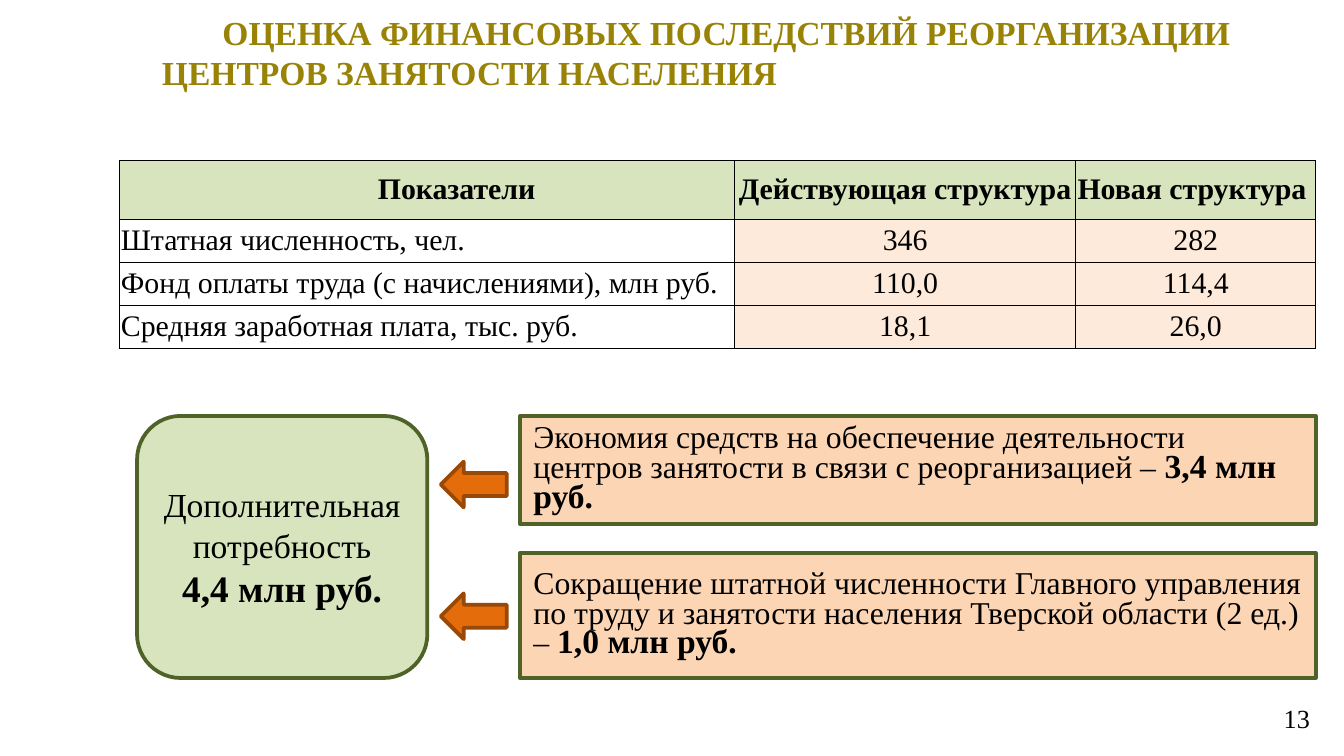
from dataclasses import dataclass

from lxml.etree import SubElement
from pptx import Presentation
from pptx.dml.color import RGBColor
from pptx.enum.shapes import MSO_SHAPE
from pptx.enum.text import MSO_ANCHOR, MSO_AUTO_SIZE, PP_ALIGN
from pptx.oxml.ns import qn
from pptx.util import Inches, Pt

COLORS = {
    "title": "998307", "text": "000000", "green": "D7E4BD",
    "green_line": "4F6228", "white": "FFFFFF", "cream": "FDEADA",
    "peach": "FCD5B5", "orange": "E46C0A", "orange_line": "984807",
}
WIDTH = Inches(10)
HEIGHT = WIDTH * 9 // 16
COLUMN, ROW = WIDTH / 100, HEIGHT / 56.25
FONT = "Times New Roman"
INDICATORS = [
    ("Показатели", "Действующая структура", "Новая структура "),
    ("Штатная численность, чел.", "346", "282"),
    ("Фонд оплаты труда (с начислениями), млн руб.", "110,0", "114,4"),
    ("Средняя заработная плата, тыс. руб.", "18,1", "26,0"),
]
SAVINGS = [
    (0, 8.05, 3.4, "Экономия средств на обеспечение деятельности центров занятости "
     "в связи с реорганизацией – ", "3,4 млн руб."),
    (10.2, 9.3, 13.2, "Сокращение штатной численности Главного управления по труду "
     "и занятости населения Тверской области (2 ед.) – ", "1,0 млн руб."),
]


@dataclass
class Box:
    column: float
    row: float
    columns: float
    rows: float

    def inner(self, column, row, columns, rows):
        return Box(self.column + column, self.row + row, columns, rows)

    def lengths(self):
        return (round(self.column * COLUMN), round(self.row * ROW),
                round(self.columns * COLUMN), round(self.rows * ROW))


def color(name):
    return RGBColor.from_string(COLORS[name])


def apply(target, values):
    for key, value in values.items():
        setattr(target, key, value)


def write(paragraph, text, size, bold=False, tint="text", **layout):
    run = paragraph.add_run()
    run.text = text
    apply(run.font, {"name": FONT, "size": Pt(size), "bold": bold})
    run.font.color.rgb = color(tint)
    apply(paragraph, layout)


def add_block(slide, preset, box, fill, line):
    block = slide.shapes.add_shape(preset, *box.lengths())
    block.shadow.inherit = False
    block.fill.solid()
    block.fill.fore_color.rgb = color(fill)
    block.line.color.rgb = color(line)
    block.line.width = Pt(2)
    apply(block.text_frame, {"word_wrap": True, "vertical_anchor": MSO_ANCHOR.MIDDLE})
    return block


def add_heading(slide, box):
    heading = slide.shapes.title
    apply(heading, dict(zip(("left", "top", "width", "height"), box.lengths())))
    apply(heading.text_frame, {
        "word_wrap": True, "auto_size": MSO_AUTO_SIZE.NONE,
        "vertical_anchor": MSO_ANCHOR.MIDDLE,
        "margin_top": 0, "margin_bottom": round(2.9 * ROW),
    })
    paragraph = heading.text_frame.paragraphs[0]
    paragraph._p.get_or_add_pPr().set("indent", str(round(4.5 * COLUMN)))
    write(paragraph, "ОЦЕНКА ФИНАНСОВЫХ ПОСЛЕДСТВИЙ РЕОРГАНИЗАЦИИ ЦЕНТРОВ ЗАНЯТОСТИ НАСЕЛЕНИЯ",
          18, True, "title", alignment=PP_ALIGN.LEFT)


def add_borders(cell):
    properties = cell._tc.get_or_add_tcPr()
    for side in ("a:lnL", "a:lnR", "a:lnT", "a:lnB"):
        border = SubElement(properties, qn(side), w=str(Pt(0.5)))
        fill = SubElement(border, qn("a:solidFill"))
        SubElement(fill, qn("a:srgbClr"), val=COLORS["text"])


def add_indicators(slide, box):
    table = slide.shapes.add_table(len(INDICATORS), 3, *box.lengths()).table
    for column, columns in zip(table.columns, (45.75, 25.4, 17.85)):
        column.width = round(columns * COLUMN)
    for row, rows in zip(table.rows, (4.4, 3.2, 3.2, 3.2)):
        row.height = round(rows * ROW)
    for r, values in enumerate(INDICATORS):
        for c, value in enumerate(values):
            cell = table.cell(r, c)
            add_borders(cell)
            cell.fill.solid()
            cell.fill.fore_color.rgb = color("green" if r == 0 else "cream" if c else "white")
            apply(cell, {
                "vertical_anchor": MSO_ANCHOR.MIDDLE, "margin_bottom": 0,
                "margin_left": Inches(0.01), "margin_right": Inches(0.01),
                "margin_top": Inches(0.01),
            })
            paragraph = cell.text_frame.paragraphs[0]
            if r == c == 0:
                paragraph._p.get_or_add_pPr().set("marL", str(round(4.4 * COLUMN)))
            write(paragraph, value, 16, r == 0, line_spacing=Pt(16),
                  alignment=PP_ALIGN.CENTER if r == 0 or c else PP_ALIGN.LEFT)


def add_need(slide, box):
    need = add_block(slide, MSO_SHAPE.ROUNDED_RECTANGLE, box, "green", "green_line").text_frame
    write(need.paragraphs[0], "Дополнительная потребность", 18, alignment=PP_ALIGN.CENTER)
    write(need.add_paragraph(), "4,4 млн руб.", 20, True, alignment=PP_ALIGN.CENTER)


def add_savings(slide, box):
    for row, rows, arrow_row, reason, amount in SAVINGS:
        saving = add_block(slide, MSO_SHAPE.RECTANGLE,
                           box.inner(5.9, row, box.columns - 5.9, rows), "peach", "green_line")
        paragraph = saving.text_frame.paragraphs[0]
        write(paragraph, reason, 17)
        write(paragraph, amount, 18, True, alignment=PP_ALIGN.LEFT, line_spacing=Pt(16))
        arrow = add_block(slide, MSO_SHAPE.RIGHT_ARROW,
                          box.inner(0, arrow_row, 4.9, 3.4), "orange", "orange_line")
        arrow.rotation = 180


def add_page_number(slide, box):
    number = slide.shapes.add_textbox(*box.lengths()).text_frame
    apply(number, {"word_wrap": True, "vertical_anchor": MSO_ANCHOR.MIDDLE})
    write(number.paragraphs[0], "13", 14, alignment=PP_ALIGN.RIGHT)


def main():
    deck = Presentation()
    apply(deck, {"slide_width": WIDTH, "slide_height": HEIGHT})
    slide = deck.slides.add_slide(deck.slide_layouts[5])
    add_heading(slide, Box(11.05, 1.2, 86.2, 8.2))
    add_page_number(slide, Box(75.15, 51.95, 23.3, 3))
    add_indicators(slide, Box(8.9, 11.95, 89, 14))
    add_need(slide, Box(10.2, 30.95, 21.6, 19.5))
    add_savings(slide, Box(32.8, 30.95, 65.1, 19.5))
    deck.save("out.pptx")


if __name__ == "__main__":
    main()
